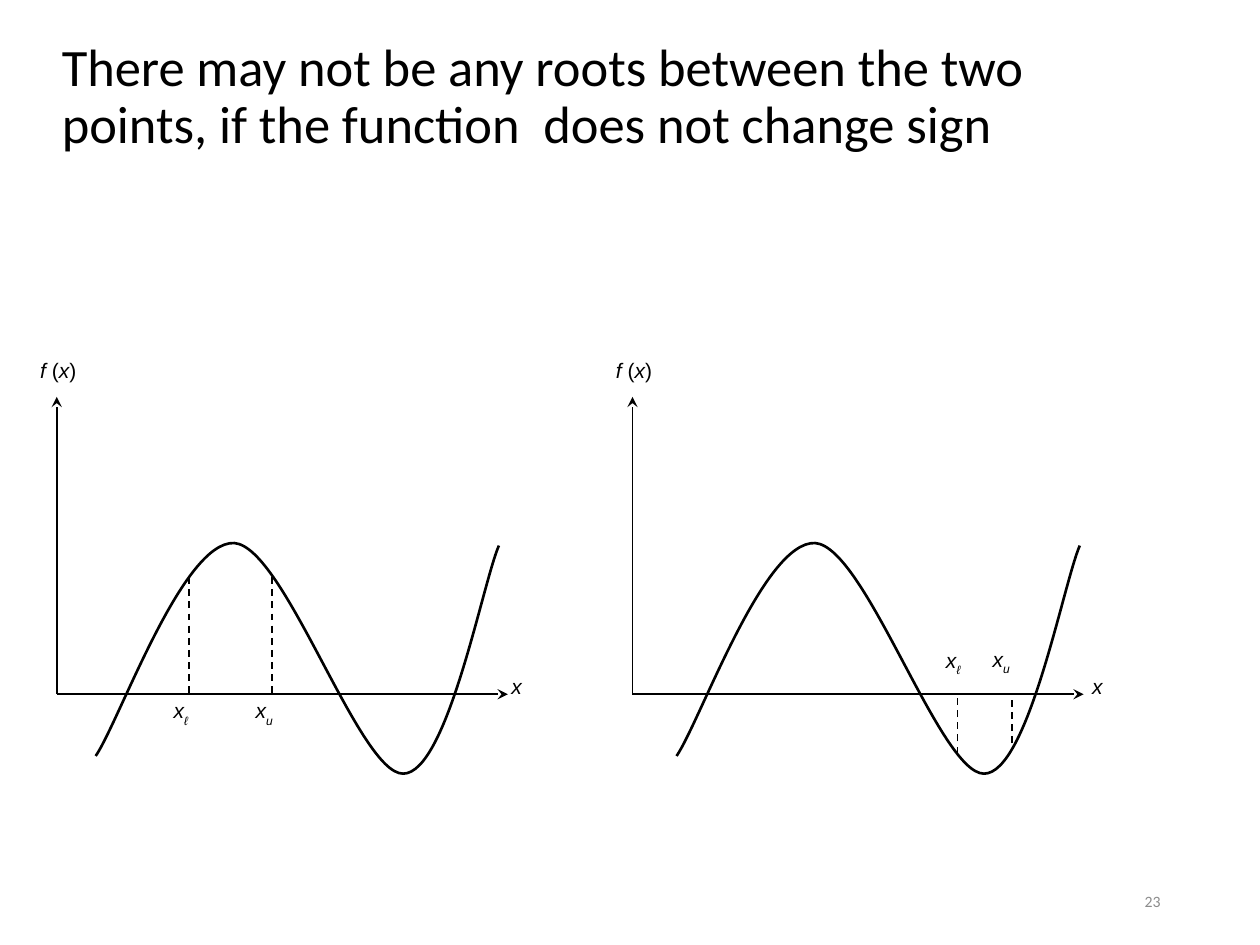
import pptx
import pptx.dml.color
import pptx.enum.dml
import pptx.enum.text
import pptx.oxml
import pptx.oxml.ns
import pptx.util

ALIGN = pptx.enum.text.PP_ALIGN
MIDDLE = pptx.enum.text.MSO_ANCHOR.MIDDLE
qn = pptx.oxml.ns.qn

THEME = {
    "ink": pptx.dml.color.RGBColor.from_string("000000"),
    "grey": pptx.dml.color.RGBColor.from_string("8C8C8C"),
    "title": {"name": "Calibri", "size": pptx.util.Pt(30)},
    "number": {"name": "Calibri", "size": pptx.util.Pt(9)},
    "label": {"name": "Arial", "size": pptx.util.Pt(12)},
    "thin": pptx.util.Pt(1),
    "thick": pptx.util.Pt(1.5),
}

prs = pptx.Presentation()
prs.slide_width = pptx.util.Inches(10)
prs.slide_height = pptx.util.Inches(7.5)
UNIT = prs.slide_width // 10  # the slide is a grid of 10 columns by 7.5 rows
s = prs.slides.add_slide(prs.slide_layouts[5])


def add_line(shapes, x1, y1, x2, y2, arrow=False):
    """Draw an axis with an arrowhead, or a dashed marker."""
    ends = [round(v * UNIT) for v in (x1, y1, x2, y2)]
    line = shapes.add_connector(pptx.enum.shapes.MSO_CONNECTOR.STRAIGHT, *ends)
    line.line.color.rgb = THEME["ink"]
    line.line.width = THEME["thin"]
    if arrow:
        tail = pptx.oxml.parse_xml(
            f'<a:tailEnd {pptx.oxml.ns.nsdecls("a")} type="stealth"/>')
        line.line._get_or_add_ln().append(tail)
    else:
        line.line.dash_style = pptx.enum.dml.MSO_LINE.DASH
    line._element.spPr.append(
        pptx.oxml.parse_xml(f'<a:effectLst {pptx.oxml.ns.nsdecls("a")}/>'))


def add_text(shapes, box, runs, font, color, align):
    """Add a text box; each run is (text, italic, subscript)."""
    sp = shapes.add_textbox(*[round(v * UNIT) for v in box])
    tf = sp.text_frame
    tf.word_wrap = True
    p = tf.paragraphs[0]
    p.alignment = align
    for text, italic, subscript in runs:
        r = p.add_run()
        r.text = text
        for name, value in {**font, "italic": italic}.items():
            setattr(r.font, name, value)
        r.font.color.rgb = color
        if subscript:
            r.font._element.set("baseline", "-30000")
    return tf


# Title
title = s.shapes.title
for name, value in {"left": 0.39, "top": 0, "width": 9, "height": 1.56}.items():
    setattr(title, name, round(value * UNIT))
tf = title.text_frame
tf.text = "There may not be any roots between the two points, if the function  does not change sign"
tf.word_wrap = True
tf.auto_size = pptx.enum.text.MSO_AUTO_SIZE.NONE
tf.vertical_anchor = MIDDLE
p = tf.paragraphs[0]
p.alignment = ALIGN.LEFT
p.line_spacing = 0.9
for name, value in THEME["title"].items():
    setattr(p.runs[0].font, name, value)
p.runs[0].font.color.rgb = THEME["ink"]

# Two plots: axes, brackets and the same cubic curve
AXIS_Y = 5.51
CURVE = [(0, 6), (0.19, 5.72), (0.69, 4.29), (1.1, 4.31),
         (1.5, 4.34), (2.09, 6.14), (2.44, 6.14),
         (2.79, 6.14), (3.07, 4.63), (3.2, 4.33)]
PLOTS = [
    {"origin": 0.45, "curve": 0.76, "x_label": 3.96,
     "markers": [(1.5, 4.58), (2.16, 4.58)],
     "bounds": [("ℓ", 1.28, 5.49), ("u", 1.93, 5.49)]},
    {"origin": 5.02, "curve": 5.37, "x_label": 8.57,
     "markers": [(7.6, 5.98), (8.03, 5.9)],
     "bounds": [("ℓ", 7.41, 5.09), ("u", 7.78, 5.08)]},
]
LABEL = (THEME["label"], THEME["ink"], ALIGN.JUSTIFY)

for plot in PLOTS:
    shapes = s.shapes.add_group_shape().shapes
    origin = plot["origin"]

    # Axes and dashed markers
    add_line(shapes, origin, AXIS_Y, origin, 3.15, arrow=True)
    add_line(shapes, origin, AXIS_Y, origin + 3.58, AXIS_Y, arrow=True)
    for x, y in plot["markers"]:
        add_line(shapes, x, y, x, AXIS_Y)

    # Labels
    add_text(shapes, (origin - 0.23, 2.79, 0.61, 0.4),
             [("f ", True, False), ("(", False, False),
              ("x", True, False), (")", False, False)], *LABEL)
    add_text(shapes, (plot["x_label"], 5.3, 0.54, 0.42),
             [("x", True, False)], *LABEL)
    for index, x, y in plot["bounds"]:
        add_text(shapes, (x, y, 0.54, 0.42),
                 [("x", True, False), (index, True, True)], *LABEL)

    # Curve: every three points after the start make one Bézier segment
    points = [(round((plot["curve"] + x) * UNIT), round(y * UNIT)) for x, y in CURVE]
    builder = shapes.build_freeform(*points[0])
    builder.add_line_segments(points[1:], close=False)
    sp = builder.convert_to_shape()
    steps = list(sp._element.iter(qn("a:lnTo")))
    for i in range(0, len(steps), 3):
        bezier = pptx.oxml.parse_xml(f'<a:cubicBezTo {pptx.oxml.ns.nsdecls("a")}/>')
        steps[i].addprevious(bezier)
        for step in steps[i:i + 3]:
            bezier.append(step[0])
            step.getparent().remove(step)
    sp.shadow.inherit = False
    sp.fill.background()
    sp.line.color.rgb = THEME["ink"]
    sp.line.width = THEME["thick"]

# Slide number
tf = add_text(s.shapes, (7.06, 6.95, 2.25, 0.4), [("23", False, False)],
              THEME["number"], THEME["grey"], ALIGN.RIGHT)
tf.vertical_anchor = MIDDLE

prs.save("out.pptx")
